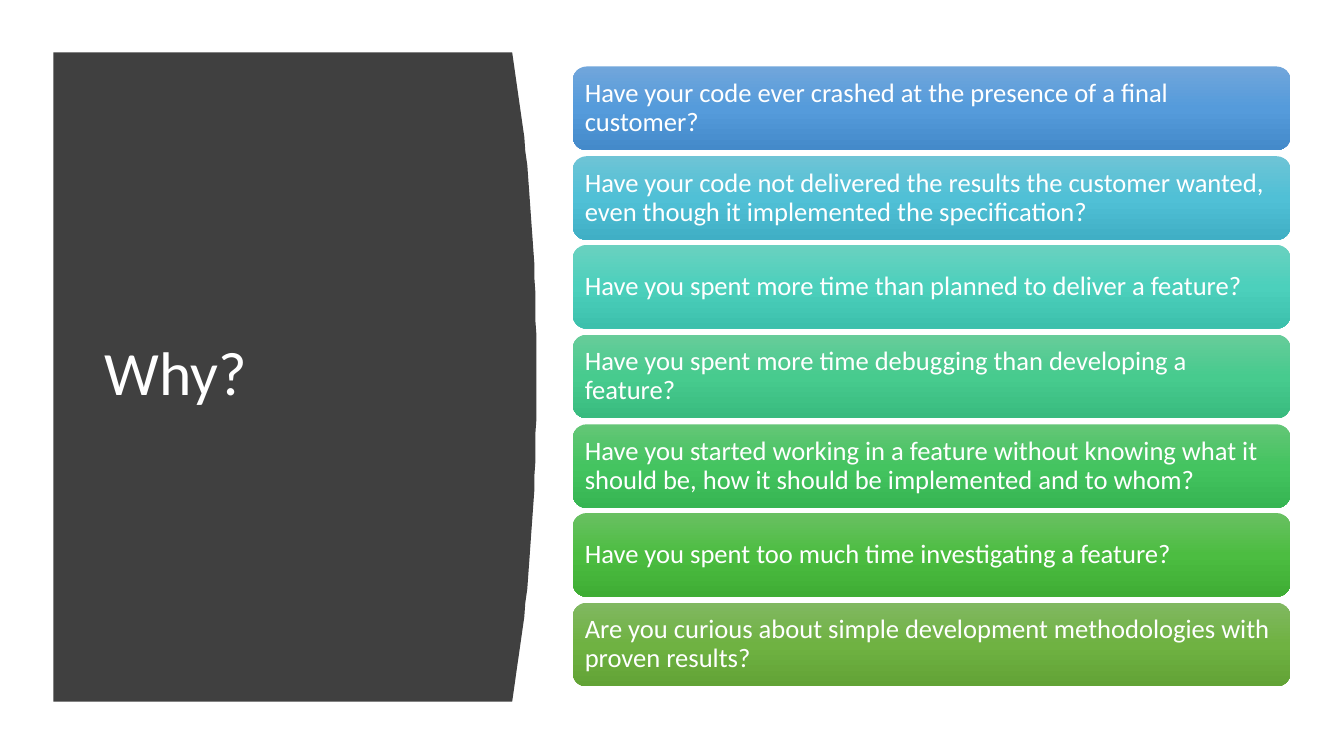
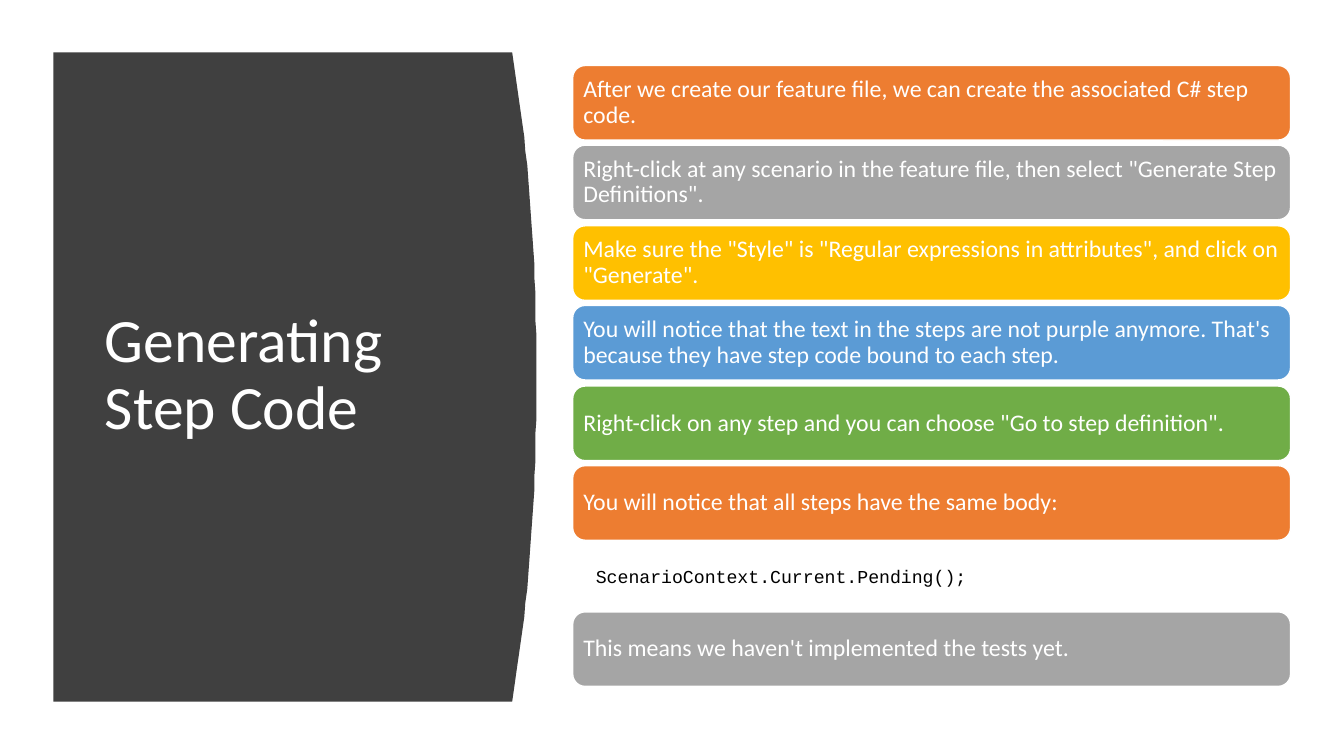
import copy

import pptx
import pptx.dml.color
import pptx.enum.shapes
import pptx.enum.text
import pptx.oxml.ns
import pptx.util

PX = 9144
SLIDE_WIDTH, SLIDE_HEIGHT = 1333, 750
TITLE_ONLY_LAYOUT = 5
BODY_FONT = "Calibri"
CODE_FONT = "Courier New"

RGB = pptx.dml.color.RGBColor
WHITE = RGB(0xFF, 0xFF, 0xFF)
BLACK = RGB(0x00, 0x00, 0x00)
CHARCOAL = RGB(0x40, 0x40, 0x40)
ORANGE = RGB(0xED, 0x7D, 0x31)
GRAY = RGB(0xA5, 0xA5, 0xA5)
GOLD = RGB(0xFF, 0xC0, 0x00)
BLUE = RGB(0x5B, 0x9B, 0xD5)
GREEN = RGB(0x70, 0xAD, 0x47)
BLUE_BLEND = (RGB(0x71, 0xA6, 0xDB), RGB(0x55, 0x9B, 0xDB), RGB(0x44, 0x8A, 0xCA))
CYAN_BLEND = (RGB(0x6E, 0xC4, 0xD6), RGB(0x50, 0xC0, 0xD6), RGB(0x40, 0xAF, 0xC5))
TEAL_BLEND = (RGB(0x6A, 0xD1, 0xC0), RGB(0x4C, 0xD0, 0xBC), RGB(0x3C, 0xC0, 0xAC))
MINT_BLEND = (RGB(0x67, 0xCC, 0x9A), RGB(0x47, 0xCB, 0x8E), RGB(0x39, 0xBB, 0x7F))
EMERALD_BLEND = (RGB(0x64, 0xC6, 0x77), RGB(0x44, 0xC4, 0x60), RGB(0x36, 0xB5, 0x52))
GRASS_BLEND = (RGB(0x69, 0xC0, 0x62), RGB(0x4C, 0xBD, 0x41), RGB(0x3F, 0xAD, 0x34))
OLIVE_BLEND = (RGB(0x81, 0xB8, 0x61), RGB(0x6F, 0xB2, 0x42), RGB(0x62, 0xA3, 0x36))

PANEL_LEFT, PANEL_TOP, PANEL_EDGE, PANEL_BOTTOM = 53, 52, 508, 696
PANEL_BULGE, PANEL_CURVE = 24, 2.2
BOX_LEFT, BOX_WIDTH = 568, 712

QUESTIONS = [
    ("Have your code ever crashed at the presence of a final customer?", BLUE_BLEND),
    ("Have your code not delivered the results the customer wanted, "
     "even though it implemented the specification?", CYAN_BLEND),
    ("Have you spent more time than planned to deliver a feature?", TEAL_BLEND),
    ("Have you spent more time debugging than developing a feature?", MINT_BLEND),
    ("Have you started working in a feature without knowing what it should be, "
     "how it should be implemented and to whom?", EMERALD_BLEND),
    ("Have you spent too much time investigating a feature?", GRASS_BLEND),
    ("Are you curious about simple development methodologies with proven results?",
     OLIVE_BLEND),
]
STEPS = [
    ("After we create our feature file, we can create the associated C# step code.",
     ORANGE),
    ('Right-click at any scenario in the feature file, then select '
     '"Generate Step Definitions".', GRAY),
    ('Make sure the "Style" is "Regular expressions in attributes", '
     'and click on "Generate".', GOLD),
    ("You will notice that the text in the steps are not purple anymore. "
     "That's because they have step code bound to each step.", BLUE),
    ('Right-click on any step and you can choose "Go to step definition".', GREEN),
    ("You will notice that all steps have the same body:", ORANGE),
]


def px(*lengths):
    return [pptx.util.Emu(length * PX) for length in lengths]


def write_text(shape, text, *, size, font=BODY_FONT, color=WHITE, insets=(10, 5, 10, 5)):
    frame = shape.text_frame
    frame.word_wrap = True
    frame.auto_size = pptx.enum.text.MSO_AUTO_SIZE.NONE
    frame.vertical_anchor = pptx.enum.text.MSO_ANCHOR.MIDDLE
    (frame.margin_left, frame.margin_top,
     frame.margin_right, frame.margin_bottom) = px(*insets)
    para = frame.paragraphs[0]
    para.alignment = pptx.enum.text.PP_ALIGN.LEFT
    para.line_spacing = 0.9
    span = para.add_run()
    span.text = text
    span.font.size = pptx.util.Pt(size)
    span.font.name = font
    span.font.color.rgb = color


def fill_blend(shape, colors):
    shape.fill.gradient()
    shape.fill.gradient_angle = 270
    stop_list = shape.element.find(".//" + pptx.oxml.ns.qn("a:gsLst"))
    stop_list.insert(1, copy.deepcopy(stop_list[0]))
    for index, (stop, color) in enumerate(zip(shape.fill.gradient_stops, colors)):
        stop.position = index / 2
        stop.color.rgb = color


def add_panel(page):
    middle = (PANEL_TOP + PANEL_BOTTOM) / 2
    half = (PANEL_BOTTOM - PANEL_TOP) / 2
    points = []
    for y in range(PANEL_TOP, PANEL_BOTTOM + 1, 14):
        bend = 1 - abs((y - middle) / half) ** PANEL_CURVE
        points.append((PANEL_EDGE + PANEL_BULGE * bend, y))
    points.append((PANEL_LEFT, PANEL_BOTTOM))
    outline = page.shapes.build_freeform(PANEL_LEFT, PANEL_TOP, scale=PX)
    outline.add_line_segments(points, close=True)
    panel = outline.convert_to_shape()
    panel.shadow.inherit = False
    panel.fill.solid()
    panel.fill.fore_color.rgb = CHARCOAL
    panel.line.fill.background()
    return panel


def add_page(deck, title_text):
    page = deck.slides.add_slide(deck.slide_layouts[TITLE_ONLY_LAYOUT])
    title = page.shapes.title
    title.left, title.top, title.width, title.height = px(94, 111, 374, 524)
    write_text(title, title_text, size=44)
    title.element.addprevious(add_panel(page).element)
    return page


def add_box(page, text, paint, *, top, height, size, inset):
    box = page.shapes.add_shape(pptx.enum.shapes.MSO_SHAPE.ROUNDED_RECTANGLE,
                                *px(BOX_LEFT, top, BOX_WIDTH, height))
    box.shadow.inherit = False
    if isinstance(paint, RGB):
        box.fill.solid()
        box.fill.fore_color.rgb = paint
        box.line.color.rgb = WHITE
        box.line.width = pptx.util.Pt(1)
    else:
        fill_blend(box, paint)
        box.line.fill.background()
    write_text(box, text, size=size, insets=[inset] * 4)


def add_stack(page, items, *, first_top, last_top, **style):
    pitch = (last_top - first_top) / (len(items) - 1)
    for index, (text, paint) in enumerate(items):
        add_box(page, text, paint, top=round(first_top + index * pitch), **style)


def add_code(page, text, *, top, height):
    box = page.shapes.add_textbox(*px(BOX_LEFT, top, BOX_WIDTH, height))
    write_text(box, text, size=13, font=CODE_FONT, color=BLACK, insets=(23, 2, 13, 2))


def main():
    deck = pptx.Presentation()
    deck.slide_width, deck.slide_height = px(SLIDE_WIDTH, SLIDE_HEIGHT)

    page = add_page(deck, "Why?")
    add_stack(page, QUESTIONS, first_top=66, last_top=598, height=83, size=19, inset=8)

    page = add_page(deck, "Generating Step Code")
    step_style = {"height": 74, "size": 17, "inset": 7}
    add_stack(page, STEPS, first_top=65, last_top=462, **step_style)
    add_code(page, "ScenarioContext.Current.Pending();", top=537, height=71)
    add_box(page, "This means we haven't implemented the tests yet.", GRAY,
            top=607, **step_style)

    deck.save("out.pptx")


if __name__ == "__main__":
    main()
